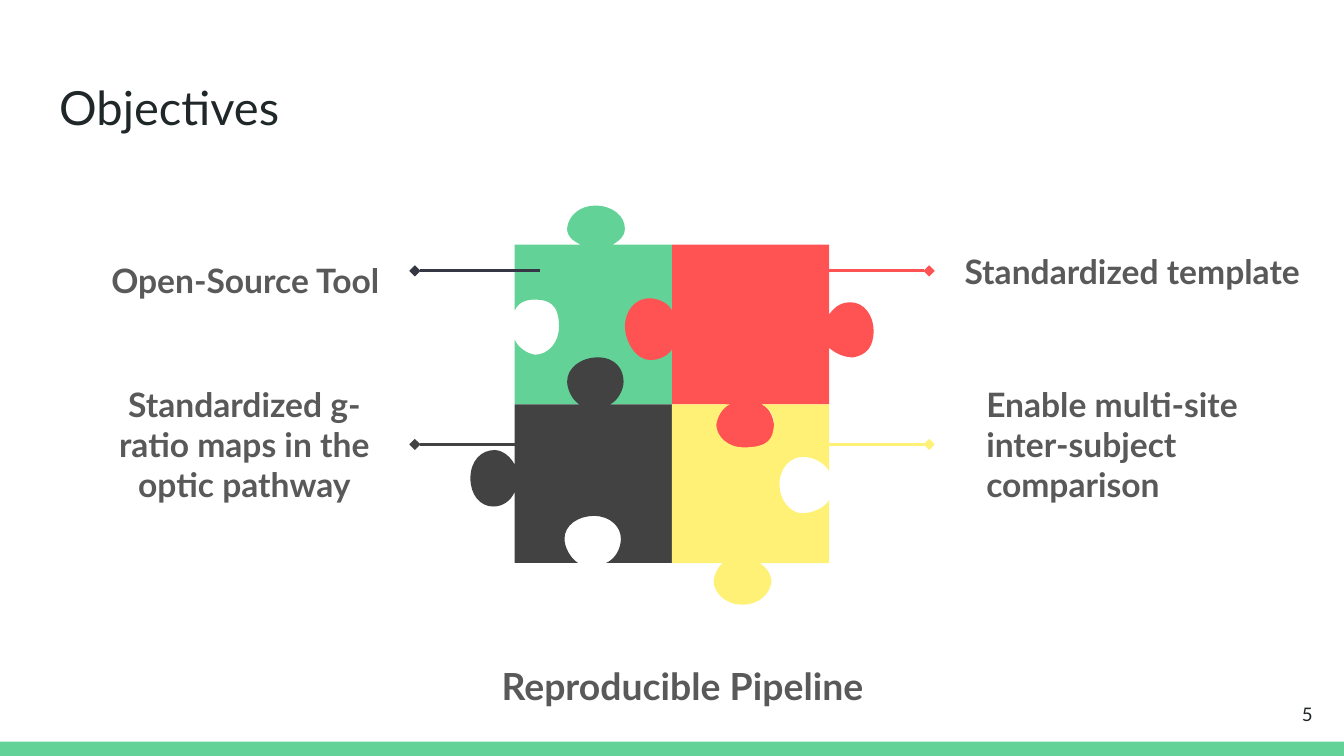
from pptx import Presentation
from pptx.dml.color import RGBColor
from pptx.enum import shapes, text
from pptx.oxml import parse_xml
from pptx.oxml.ns import nsdecls, qn
from pptx.util import Cm, Pt

GREEN = RGBColor(0x63, 0xD2, 0x97)
DARK = RGBColor(0x42, 0x42, 0x42)
RED = RGBColor(0xFF, 0x52, 0x52)
YELLOW = RGBColor(0xFF, 0xF1, 0x76)
NAVY = RGBColor(0x35, 0x37, 0x44)
INK = RGBColor(0x20, 0x27, 0x29)
GREY = RGBColor(0x59, 0x59, 0x59)

LEFT, MID, RIGHT = text.PP_ALIGN.LEFT, text.PP_ALIGN.CENTER, text.PP_ALIGN.RIGHT
UNIT = Cm(2.54) / 100  # puzzle outlines are in hundredths of an inch

deck = Presentation()
deck.slide_width, deck.slide_height = Cm(25.4), Cm(14.29)
slide = deck.slides.add_slide(deck.slide_layouts[6])
items = slide.shapes


def draw(path):
    """Draw a closed outline: two numbers are a corner, six are a Bézier curve."""
    ends = [step[-2:] for step in path]
    form = items.build_freeform(*ends[0], scale=UNIT)
    form.add_line_segments(ends[1:], close=True)
    shape = form.convert_to_shape()
    left, top = min(x for x, y in ends), min(y for x, y in ends)
    sides = list(shape._element.iter(qn("a:lnTo")))
    for step, side in zip(path[1:], sides):
        if len(step) == 6:
            dots = "".join(f'<a:pt x="{x - left}" y="{y - top}"/>'
                           for x, y in zip(step[::2], step[1::2]))
            curve = parse_xml(f'<a:cubicBezTo {nsdecls("a")}>{dots}</a:cubicBezTo>')
            side.getparent().replace(side, curve)
    return shape


def write(words, x, y, wide, high, size, color, align=LEFT, bold=False, inset=0, lead=1):
    box = items.add_textbox(Cm(x), Cm(y), Cm(wide), Cm(high))
    frame = box.text_frame
    frame.word_wrap = True
    frame.vertical_anchor = text.MSO_ANCHOR.MIDDLE
    frame.margin_left = frame.margin_right = Cm(0.25)
    frame.margin_top = frame.margin_bottom = Cm(0.25)
    para = frame.paragraphs[0]
    para.text = words
    para.alignment = align
    para.line_spacing = lead
    font = para.font
    font.name, font.size, font.bold = "Lato", Pt(size), bold
    font.color.rgb = color
    if inset:
        props = para._p.get_or_add_pPr()
        props.set("marL", str(Cm(inset)))
        props.set("indent", "0")


# Footer band and title
band = items.add_shape(shapes.MSO_SHAPE.RECTANGLE, 0, Cm(14.02), Cm(25.4), Cm(0.27))
band.shadow.inherit = False
band.fill.solid()
band.fill.fore_color.rgb = GREEN
band.line.fill.background()
write("Objectives", 0.87, 1.22, 23.67, 1.6, 25.2, INK)

# Puzzle outlines
green = [
    (443, 153), (432, 153, 423, 160, 422, 170), (422, 176, 426, 179, 432, 182),
    (383, 182), (383, 231), (386, 225, 391, 223, 398, 223),
    (408, 223, 416, 226, 416, 243), (416, 255, 408, 264, 398, 264),
    (392, 263, 386, 259, 383, 253), (383, 301), (500, 301), (500, 182),
    (456, 182), (461, 179, 465, 176, 465, 170), (465, 161, 456, 153, 443, 153)]
dark = [
    (445, 266), (432, 266, 422, 274, 422, 284),
    (422, 290, 426, 298, 431, 301), (383, 301), (383, 346),
    (380, 340, 374, 335, 368, 335), (358, 335, 350, 343, 350, 356),
    (350, 368, 357, 377, 367, 377), (374, 377, 380, 373, 383, 366),
    (383, 419), (430, 419), (424, 415, 420, 407, 420, 401),
    (420, 391, 430, 384, 442, 384), (454, 384, 462, 392, 462, 401),
    (462, 408, 458, 416, 451, 419), (500, 419), (500, 370),
    (503, 376, 509, 379, 515, 380), (524, 380, 532, 374, 532, 359),
    (532, 343, 525, 338, 515, 337), (509, 337, 503, 341, 500, 347),
    (500, 301), (454, 301), (460, 298, 464, 290, 464, 284),
    (464, 275, 458, 266, 445, 266)]
red = [
    (500, 182), (500, 231), (497, 225, 489, 222, 483, 222),
    (473, 222, 465, 231, 465, 243), (465, 254, 473, 268, 484, 268),
    (490, 268, 497, 265, 500, 260), (500, 301), (541, 301),
    (535, 304, 531, 311, 531, 317), (531, 327, 542, 336, 554, 336),
    (568, 336, 576, 328, 576, 318), (576, 312, 573, 304, 567, 301),
    (617, 301), (617, 259), (623, 264, 629, 266, 635, 266),
    (645, 264, 650, 258, 650, 246), (650, 235, 643, 225, 633, 225),
    (627, 225, 622, 227, 617, 234), (617, 182)]
yellow = [
    (500, 301), (500, 419), (538, 419), (535, 421, 532, 426, 531, 432),
    (531, 442, 541, 450, 552, 450), (565, 450, 573, 442, 574, 433),
    (574, 427, 570, 422, 565, 419), (617, 419), (617, 372),
    (614, 378, 604, 382, 597, 382), (588, 382, 580, 372, 580, 361),
    (580, 348, 588, 340, 598, 340), (604, 340, 614, 344, 617, 351),
    (617, 301), (567, 301), (573, 304, 576, 310, 576, 316),
    (575, 326, 573, 333, 553, 333), (542, 333, 533, 325, 533, 316),
    (534, 310, 537, 304, 543, 301)]

# Pieces and pointers: outline, fill, pointer colour, diamond end, plain end, height
pieces = [
    (green, GREEN, NAVY, 7.84, 10.21, 5.12),
    (dark, DARK, DARK, 7.84, 10.21, 8.4),
    (red, RED, RED, 17.56, 15.19, 5.12),
    (yellow, YELLOW, YELLOW, 17.56, 15.19, 8.4),
]
for path, fill, ink, tip, end, y in pieces:
    piece = draw(path)
    piece.shadow.inherit = False
    piece.fill.solid()
    piece.fill.fore_color.rgb = fill
    piece.line.fill.background()

    line = items.add_connector(shapes.MSO_CONNECTOR.STRAIGHT, Cm(tip), Cm(y), Cm(end), Cm(y))
    line.line.color.rgb = ink
    line.line.width = Pt(1.5)
    line.line._get_or_add_ln().append(
        parse_xml(f'<a:headEnd {nsdecls("a")} type="diamond"/>'))
    line._element.spPr.append(parse_xml(f'<a:effectLst {nsdecls("a")}/>'))

# Labels
labels = [
    ("Open-Source Tool", 0.87, 4.32, 6.55, 18, RIGHT, 0.41, 2),
    ("Standardized template", 17.98, 4.53, 7.67, 18, LEFT, 0, 1),
    ("Enable multi-site inter-subject comparison", 17.98, 7.8, 7.14, 18, LEFT, 0.41, 1),
    ("Standardized g-ratio maps in the optic pathway", 1.42, 7.8, 5.99, 18, MID, 0.41, 1),
    ("Reproducible Pipeline", 8.53, 11.95, 8.33, 20, MID, 0.41, 2),
]
for words, x, y, wide, size, align, inset, lead in labels:
    write(words, x, y, wide, 1.19, size, GREY, align, True, inset, lead)

# Page number
write("5", 23.54, 12.95, 1.52, 1.09, 10, INK, RIGHT)

deck.save("out.pptx")
